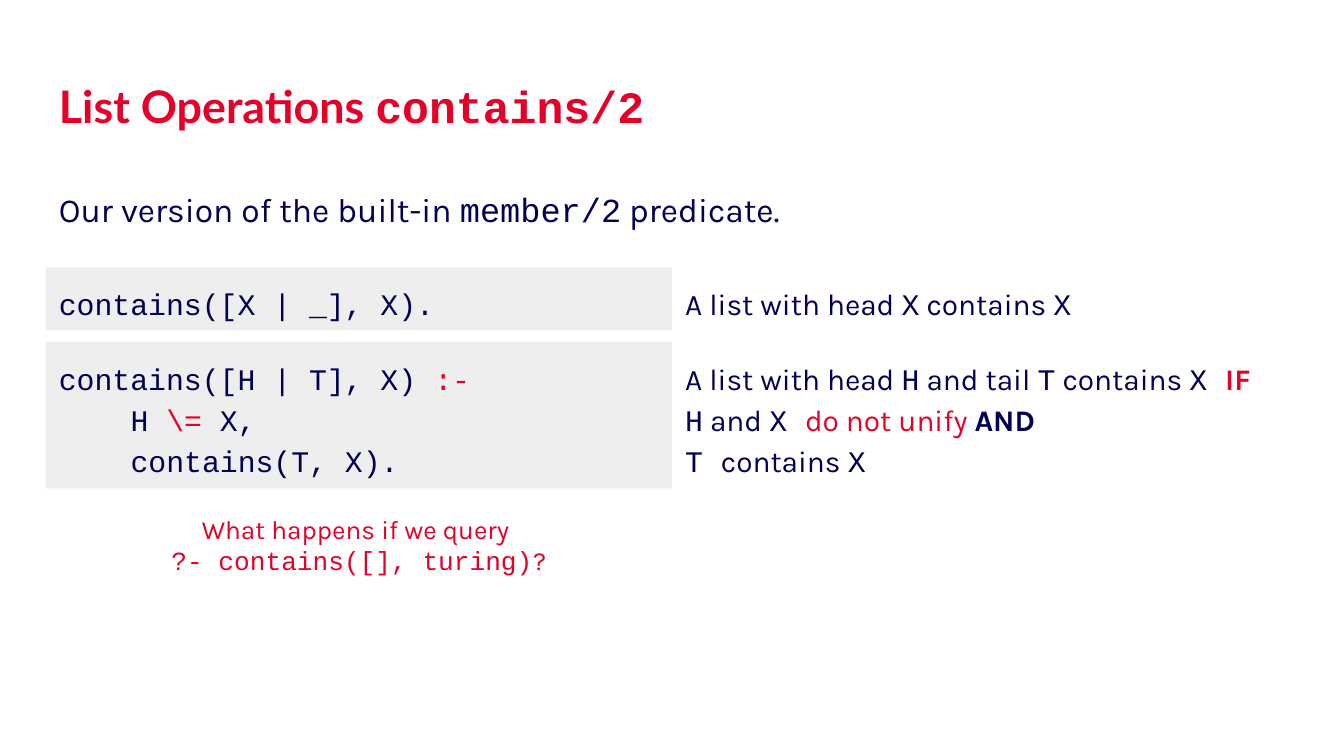
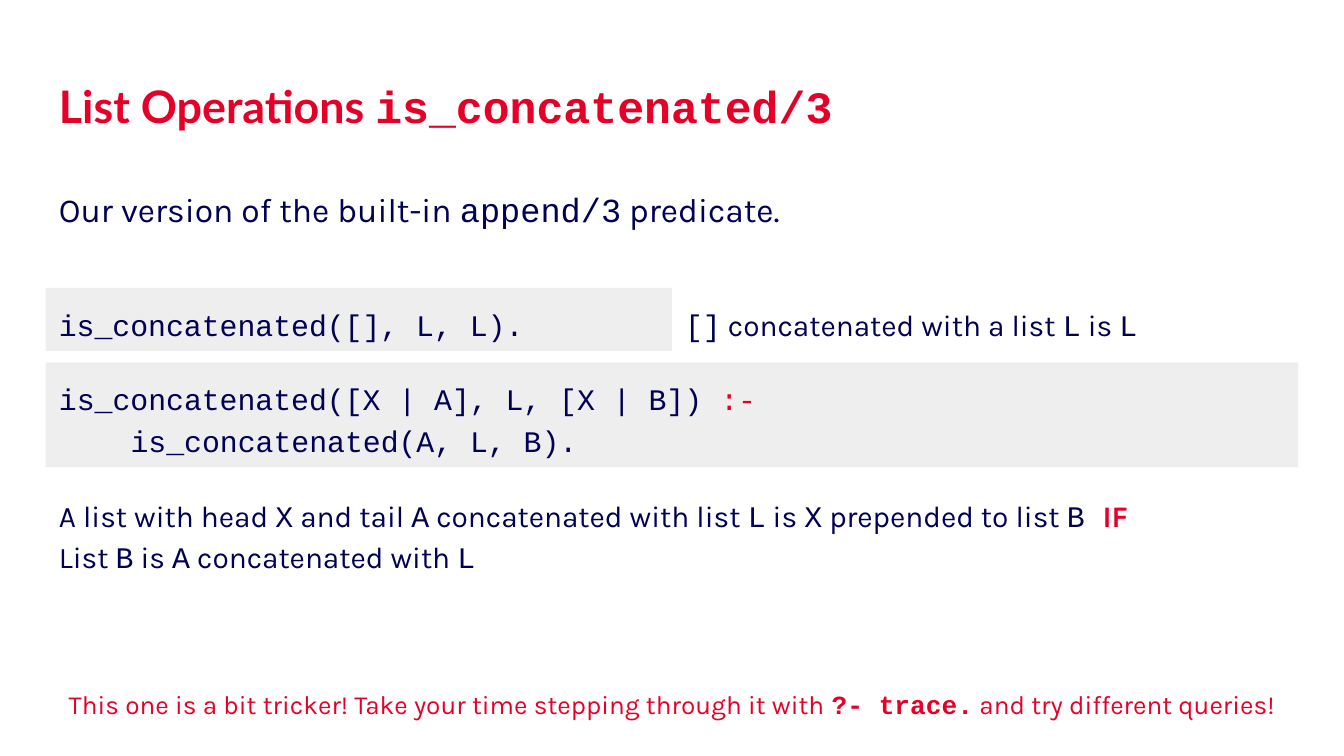
from dataclasses import dataclass
from typing import NamedTuple

from pptx import Presentation
from pptx.dml.color import RGBColor
from pptx.enum.shapes import MSO_SHAPE
from pptx.enum.text import MSO_ANCHOR, PP_ALIGN
from pptx.util import Pt

RECT = MSO_SHAPE.RECTANGLE
TOP, MIDDLE = MSO_ANCHOR.TOP, MSO_ANCHOR.MIDDLE
LEFT, CENTER = PP_ALIGN.LEFT, PP_ALIGN.CENTER


@dataclass(frozen=True)
class Theme:
    red: RGBColor = RGBColor(0xE6, 0x00, 0x28)
    navy: RGBColor = RGBColor(0x00, 0x00, 0x54)
    panel: RGBColor = RGBColor(0xEE, 0xEE, 0xEE)
    heading: str = "Lato"
    body: str = "Karla"
    mono: str = "Courier New"
    title_size: float = 24
    intro_size: float = 18
    code_size: float = 16
    note_size: float = 14
    line_spacing: float = 1.15


THEME = Theme()

SLIDE_W, SLIDE_H = 720, 405
MARGIN = 24.5
FULL = SLIDE_W - 2 * MARGIN
HALF = FULL / 2
MIDDLE_X = MARGIN + HALF
INSET = 7.2
GAP = 6
CODE_INDENT = 38.4  # four monospaced characters


class Run(NamedTuple):
    text: str
    font: str = THEME.body
    color: RGBColor = THEME.navy
    bold: bool = False


class Line(NamedTuple):
    runs: list[Run]
    indent: float = 0


@dataclass(frozen=True)
class Block:
    left: float
    top: float
    width: float
    height: float
    lines: list[Line]
    size: float = THEME.code_size
    filled: bool = False
    align: PP_ALIGN = LEFT
    anchor: MSO_ANCHOR = TOP
    spacing: float = THEME.line_spacing
    space_after: float = 0


def mono(text: str, color: RGBColor = THEME.navy, bold: bool = False) -> Run:
    return Run(text, THEME.mono, color, bold)


def red(text: str, bold: bool = False) -> Run:
    return Run(text, color=THEME.red, bold=bold)


def mixed(*texts: str) -> list[Run]:
    """Alternate body text and monospaced text, starting with body text."""
    return [mono(t) if i % 2 else Run(t) for i, t in enumerate(texts) if t]


def block_height(line_count: int) -> float:
    return 11.4 + 22.4 * line_count


def code(top: float, width: float, lines: list[Line]) -> Block:
    return Block(MARGIN, top, width, block_height(len(lines)), lines, filled=True)


def reading(left: float, top: float, width: float, lines: list[Line]) -> Block:
    """Plain-language reading of a clause."""
    return Block(left, top, width, block_height(len(lines)), lines)


def note(top: float, width: float, height: float, lines: list[Line]) -> Block:
    return Block(MARGIN, top, width, height, lines, THEME.note_size,
                 align=CENTER, anchor=MIDDLE, spacing=1)


def draw(slide, block: Block) -> None:
    box = [Pt(v) for v in (block.left, block.top, block.width, block.height)]
    if block.filled:
        sp = slide.shapes.add_shape(RECT, *box)
        sp.shadow.inherit = False
        sp.fill.solid()
        sp.fill.fore_color.rgb = THEME.panel
        sp.line.fill.background()
    else:
        sp = slide.shapes.add_textbox(*box)
    tf = sp.text_frame
    tf.word_wrap = True
    tf.vertical_anchor = block.anchor
    tf.margin_left = tf.margin_right = tf.margin_top = tf.margin_bottom = Pt(INSET)
    for i, line in enumerate(block.lines):
        p = tf.add_paragraph() if i else tf.paragraphs[0]
        p.alignment = block.align
        p.line_spacing = block.spacing
        p.space_after = Pt(block.space_after)
        if line.indent:
            p_pr = p._p.get_or_add_pPr()
            p_pr.set("marL", str(Pt(line.indent)))
            p_pr.set("indent", "0")
        for item in line.runs:
            r = p.add_run()
            r.text = item.text
            r.font.name = item.font
            r.font.size = Pt(block.size)
            r.font.bold = item.bold
            r.font.color.rgb = item.color


def add_predicate_slide(prs, predicate: str, builtin: str, blocks: list[Block]) -> None:
    slide = prs.slides.add_slide(prs.slide_layouts[6])
    title = Line([Run("List Operations ", THEME.heading, THEME.red, True),
                  mono(predicate, THEME.red, True)])
    intro = Line(mixed("Our version of the built-in ", builtin, " predicate."))
    draw(slide, Block(MARGIN, 35, FULL, 45, [title], THEME.title_size, spacing=1))
    draw(slide, Block(MARGIN, 90.7, FULL, 36, [intro], THEME.intro_size,
                      space_after=12))
    for block in blocks:
        draw(slide, block)


def contains_blocks() -> list[Block]:
    fact_top = 143.2
    rule_top = fact_top + block_height(1) + GAP
    note_top = rule_top + block_height(3) + GAP
    return [
        code(fact_top, HALF, [Line([mono("contains([X | _], X).")])]),
        code(rule_top, HALF, [
            Line([mono("contains([H | T], X) "), mono(":-", THEME.red)]),
            Line([mono("H "), mono("\\=", THEME.red), mono(" X,")], CODE_INDENT),
            Line([mono("contains(T, X).")], CODE_INDENT),
        ]),
        note(note_top, HALF, 48.2, [
            Line([red("What happens if we query ")]),
            Line([mono("?- contains([], turing)", THEME.red), red("?")]),
        ]),
        reading(MIDDLE_X, fact_top, HALF, [
            Line(mixed("A list with head ", "X", " contains ", "X")),
        ]),
        reading(MIDDLE_X, rule_top, HALF, [
            Line(mixed("A list with head ", "H", " and tail ", "T", " contains ", "X ")
                 + [red("IF", True)]),
            Line(mixed("", "H", " and ", "X ")
                 + [red("do not unify "), Run("AND", bold=True)]),
            Line(mixed("", "T ", "contains ", "X")),
        ]),
    ]


def concatenated_blocks() -> list[Block]:
    fact_top = 154.3
    rule_top = fact_top + block_height(1) + GAP
    reading_top = rule_top + block_height(2) + GAP
    return [
        code(fact_top, HALF, [Line([mono("is_concatenated([], L, L).")])]),
        code(rule_top, FULL, [
            Line([mono("is_concatenated([X | A], L, [X | B]) "),
                  mono(":-", THEME.red)]),
            Line([mono("is_concatenated(A, L, B).")], CODE_INDENT),
        ]),
        reading(MIDDLE_X, fact_top, HALF, [
            Line(mixed("", "[]", " concatenated with a list ", "L", " is ", "L")),
        ]),
        reading(MARGIN, reading_top, FULL, [
            Line(mixed("A list with head ", "X", " and tail ", "A",
                       " concatenated with list ", "L", " is ", "X",
                       " prepended to list ", "B ") + [red("IF", True)]),
            Line(mixed("List ", "B", " is ", "A", " concatenated with ", "L")),
        ]),
        note(361.6, FULL, 31.7, [
            Line([red("This one is a bit tricker! Take your time stepping "
                      "through it with "),
                  mono("?- trace.", THEME.red, True),
                  red(" and try different queries!")]),
        ]),
    ]


def main() -> None:
    prs = Presentation()
    prs.slide_width, prs.slide_height = Pt(SLIDE_W), Pt(SLIDE_H)
    add_predicate_slide(prs, "contains/2", "member/2", contains_blocks())
    add_predicate_slide(prs, "is_concatenated/3", "append/3", concatenated_blocks())
    prs.save("out.pptx")


if __name__ == "__main__":
    main()
